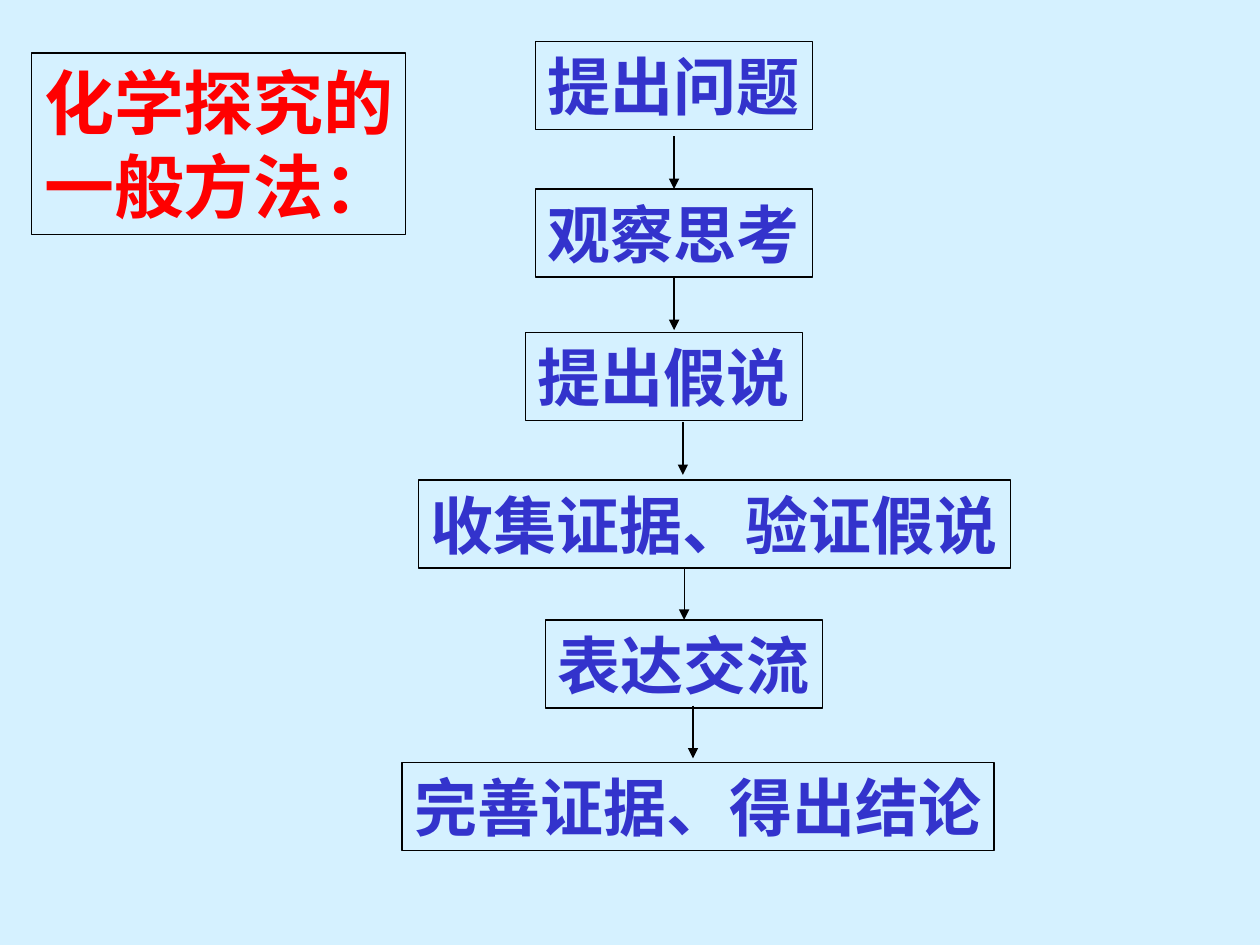
"""Build a flow chart slide of the general method of chemical inquiry."""
from dataclasses import dataclass

from lxml.etree import SubElement
from pptx import Presentation
from pptx.dml.color import RGBColor
from pptx.enum.shapes import MSO_CONNECTOR, MSO_SHAPE
from pptx.enum.text import MSO_ANCHOR, MSO_AUTO_SIZE, PP_ALIGN
from pptx.oxml.ns import qn
from pptx.shapes.autoshape import Shape
from pptx.slide import Slide
from pptx.util import Inches, Pt

BACKGROUND = RGBColor(0xD5, 0xF1, 0xFF)
BLACK = RGBColor(0x00, 0x00, 0x00)
RED = RGBColor(0xFF, 0x00, 0x00)
BLUE = RGBColor(0x33, 0x33, 0xCC)
FONT = "Times New Roman"
LINE_WIDTH = Pt(0.75)
STEP_HEIGHT = 0.7
SHORT, LONG = 2.2, 4.7
ARROW_LENGTH = 0.42
TOP, BOTTOM = 0, 2


@dataclass(frozen=True)
class Step:
    text: str
    left: float
    top: float
    width: float


@dataclass(frozen=True)
class Arrow:
    x: float
    top: float
    joins_start: bool = False
    joins_end: bool = False


STEPS = [
    Step("提出问题", 4.25, 0.33, SHORT),
    Step("观察思考", 4.25, 1.5, SHORT),
    Step("提出假说", 4.17, 2.64, SHORT),
    Step("收集证据、验证假说", 3.32, 3.81, LONG),
    Step("表达交流", 4.33, 4.92, SHORT),
    Step("完善证据、得出结论", 3.19, 6.05, LONG),
]
ARROWS = [
    Arrow(5.35, 1.08, joins_end=True),
    Arrow(5.35, 2.2, joins_start=True),
    Arrow(5.42, 3.35),
    Arrow(5.43, 4.51, joins_end=True),
    Arrow(5.5, 5.6),
]


def write_text(shape: Shape, text: str, *, size: int, color: RGBColor,
               auto_size: MSO_AUTO_SIZE = MSO_AUTO_SIZE.SHAPE_TO_FIT_TEXT,
               margin_right: float = 0.1) -> None:
    """Write bold, left-aligned text in an outlined, unfilled shape."""
    shape.fill.background()
    shape.line.color.rgb = BLACK
    shape.line.width = LINE_WIDTH
    frame = shape.text_frame
    frame.text = text
    frame.word_wrap = False
    frame.auto_size = auto_size
    frame.margin_right = Inches(margin_right)
    frame.vertical_anchor = MSO_ANCHOR.TOP
    for paragraph in frame.paragraphs:
        paragraph.alignment = PP_ALIGN.LEFT
        for run in paragraph.runs:
            run.font.name = FONT
            run.font.size = Pt(size)
            run.font.bold = True
            run.font.color.rgb = color


def add_title(slide: Slide) -> None:
    """Place the title in its placeholder, with room for five characters a line."""
    title = slide.shapes.title
    title.left, title.top = Inches(0.25), Inches(0.42)
    title.width, title.height = Inches(2.97), Inches(1.44)
    write_text(title, "化学探究的\n一般方法：", size=40, color=RED,
               auto_size=MSO_AUTO_SIZE.NONE, margin_right=0)


def add_step(slide: Slide, step: Step) -> Shape:
    """Draw one step of the method."""
    shape = slide.shapes.add_shape(
        MSO_SHAPE.RECTANGLE, Inches(step.left), Inches(step.top),
        Inches(step.width), Inches(STEP_HEIGHT))
    shape.shadow.inherit = False
    write_text(shape, step.text, size=36, color=BLUE)
    return shape


def add_arrow(slide: Slide, arrow: Arrow, upper: Shape, lower: Shape) -> None:
    """Draw a downward arrow, joined to the steps it meets."""
    x = Inches(arrow.x)
    connector = slide.shapes.add_connector(
        MSO_CONNECTOR.STRAIGHT, x, Inches(arrow.top),
        x, Inches(arrow.top + ARROW_LENGTH))
    if arrow.joins_start:
        connector.begin_connect(upper, BOTTOM)
    if arrow.joins_end:
        connector.end_connect(lower, TOP)
    connector.line.color.rgb = BLACK
    connector.line.width = LINE_WIDTH
    SubElement(connector.line._get_or_add_ln(), qn("a:tailEnd"), type="triangle")
    SubElement(connector._element.spPr, qn("a:effectLst"))


def main() -> None:
    """Build and save the slide."""
    presentation = Presentation()
    presentation.slide_width, presentation.slide_height = Inches(10), Inches(7.5)
    slide = presentation.slides.add_slide(
        presentation.slide_layouts.get_by_name("Title Only"))
    slide.background.fill.solid()
    slide.background.fill.fore_color.rgb = BACKGROUND
    add_title(slide)
    shapes = [add_step(slide, step) for step in STEPS]
    for arrow, upper, lower in zip(ARROWS, shapes, shapes[1:]):
        add_arrow(slide, arrow, upper, lower)
    presentation.save("out.pptx")


if __name__ == "__main__":
    main()
